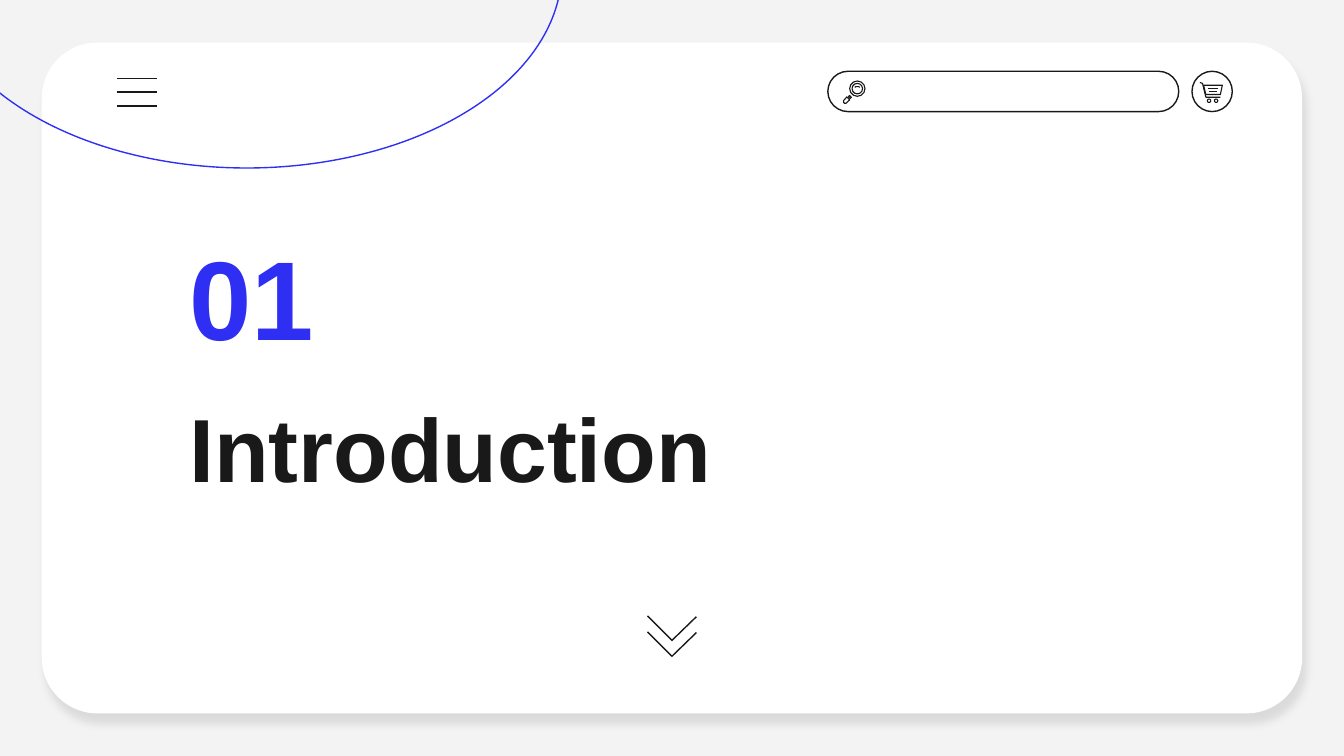
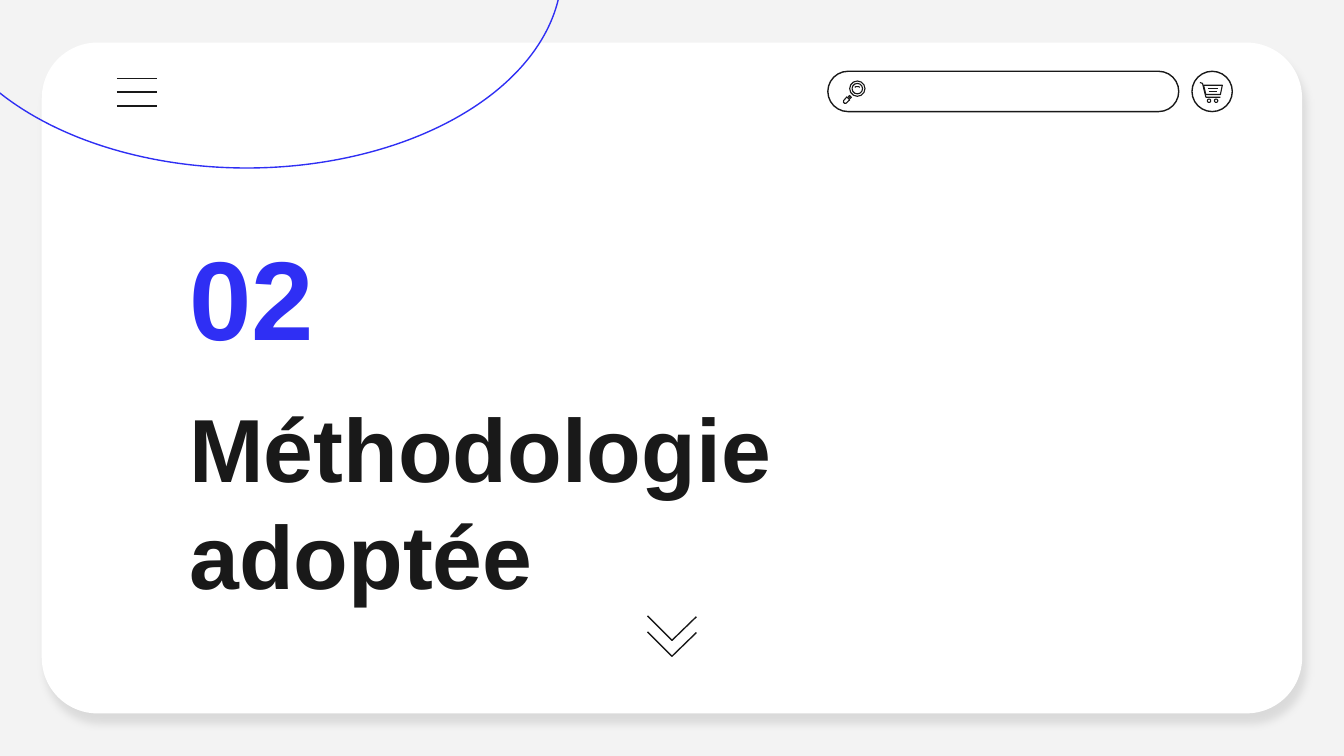
from lxml import etree
from pptx import Presentation
from pptx.dml.color import RGBColor
from pptx.enum.shapes import MSO_CONNECTOR, MSO_SHAPE
from pptx.enum.text import MSO_ANCHOR
from pptx.oxml.ns import qn
from pptx.util import Pt

OVAL, ROUND = MSO_SHAPE.OVAL, MSO_SHAPE.ROUNDED_RECTANGLE
LINE = MSO_CONNECTOR.STRAIGHT
TOP, BOTTOM = MSO_ANCHOR.TOP, MSO_ANCHOR.BOTTOM

INK = RGBColor(0x19, 0x19, 0x19)
BLUE = RGBColor(0x2F, 0x2F, 0xF4)
WHITE = RGBColor(0xFF, 0xFF, 0xFF)
GREY = RGBColor(0xF3, 0xF3, 0xF3)
FONT = "Arial"
THIN, FINE = 0.75, 0.6

# Content: section number and title
PARTS = [("01", "Introduction"), ("02", "Méthodologie adoptée")]

# Places in points: left, top, width, height
CARD = (22.4, 22.8, 675.2, 359.4)
SEARCH = (443.5, 38.2, 188, 21.6)
BUTTON = (638.6, 38.2, 21.6, 21.6)
ARC = (-36.7, -122.4, 337.7, 212.4)
NUM_BOX = (94.3, 135.4, 97.2, 66.2)
HEAD_BOX = (94.3, 203.8, 402.5, 66.2)

# Menu bars and chevrons
MENU_X, MENU_Y, MENU_W, MENU_GAP = 62.6, 41.9, 21.6, 7.4
CHEV_X, CHEV_Y, CHEV_R, CHEV_GAP = 360, 330, 13.1, 8.5

# Icons: rings as centre and diameter, outlines as points and closed flag
RINGS = [(459.3, 47.5, 8.2), (459.3, 47.5, 5.6),
         (647.7, 54, 1.8), (651.5, 54, 1.8)]
PATHS = [
    ([(457.9, 46.8), (458.6, 46.4), (459.9, 46.4), (460.6, 46.8)], False),
    ([(455.1, 51.2), (456.1, 52.2), (455.4, 52.8), (454.5, 51.9)], True),
    ([(453.7, 51.9), (452, 53.9), (451.9, 54.8), (452.5, 55.4),
      (453.4, 55.3), (455.2, 53.5)], True),
    ([(642.8, 44.2), (644.2, 44.7), (646, 52.1), (653.7, 52.1)], False),
    ([(644.8, 45.7), (654.8, 45.7), (653.8, 50.7), (646, 50.7)], True),
]
SHELVES = [(647.3, 652.5, 47.5), (647.5, 651.9, 49.2)]


def style(shape, line, width=THIN, fill=None):
    shape.shadow.inherit = False
    if fill is None:
        shape.fill.background()
    else:
        shape.fill.solid()
        shape.fill.fore_color.rgb = fill
    if line is None:
        shape.line.fill.background()
    else:
        shape.line.color.rgb = line
        shape.line.width = Pt(width)
    return shape


def add(slide, kind, box, line, width=THIN, fill=None):
    shape = slide.shapes.add_shape(kind, *map(Pt, box))
    return style(shape, line, width, fill)


def rule(slide, left, right, y, width=THIN):
    bar = slide.shapes.add_connector(LINE, Pt(left), Pt(y), Pt(right), Pt(y))
    bar.line.color.rgb = INK
    bar.line.width = Pt(width)
    etree.SubElement(bar._element.spPr, qn("a:effectLst"))


def trace(slide, points, close, width=THIN):
    spots = [(Pt(x), Pt(y)) for x, y in points]
    pen = slide.shapes.build_freeform(*spots[0], scale=1.0)
    pen.add_line_segments(spots[1:], close=close)
    style(pen.convert_to_shape(), INK, width)


def write(slide, box, text, size, color, anchor, pitch=None):
    frame = slide.shapes.add_textbox(*map(Pt, box)).text_frame
    frame.word_wrap = True
    frame.vertical_anchor = anchor
    frame.margin_left = frame.margin_right = Pt(7.2)
    frame.margin_top = frame.margin_bottom = Pt(7.2)
    frame.text = text
    para = frame.paragraphs[0]
    if pitch:
        para.line_spacing = Pt(pitch)
    font = para.runs[0].font
    font.name, font.size, font.bold = FONT, Pt(size), True
    font.color.rgb = color


def cast(shape):
    # Soft shadow below the card
    effects = shape._element.spPr.find(qn("a:effectLst"))
    outer = etree.SubElement(
        effects, qn("a:outerShdw"), blurRad=str(Pt(4.5)), dist=str(Pt(6)),
        dir=str(68 * 60000), algn="bl", rotWithShape="0")
    tint = etree.SubElement(outer, qn("a:srgbClr"), val="000000")
    etree.SubElement(tint, qn("a:alpha"), val="10000")


def frame_page(slide):
    # Backdrop and card
    slide.background.fill.solid()
    slide.background.fill.fore_color.rgb = GREY
    card = add(slide, ROUND, CARD, None, fill=WHITE)
    card.adjustments[0] = 0.083
    cast(card)
    # Menu, search field and cart button
    for i in range(3):
        rule(slide, MENU_X, MENU_X + MENU_W, MENU_Y + i * MENU_GAP)
    add(slide, ROUND, SEARCH, INK).adjustments[0] = 0.5
    add(slide, OVAL, BUTTON, INK)
    # Icons
    for x, y, size in RINGS:
        add(slide, OVAL, (x - size / 2, y - size / 2, size, size), INK, FINE)
    for points, close in PATHS:
        trace(slide, points, close, FINE)
    for left, right, y in SHELVES:
        rule(slide, left, right, y, FINE)


def main():
    prs = Presentation()
    prs.slide_width, prs.slide_height = Pt(720), Pt(405)
    for number, title in PARTS:
        slide = prs.slides.add_slide(prs.slide_layouts[6])
        frame_page(slide)
        write(slide, HEAD_BOX, title, 48, INK, TOP, 57.2)
        write(slide, NUM_BOX, number, 60, BLUE, BOTTOM)
        add(slide, OVAL, ARC, BLUE)
        # Chevrons
        for i in range(2):
            y = CHEV_Y + i * CHEV_GAP
            trace(slide, [(CHEV_X - CHEV_R, y), (CHEV_X, y + CHEV_R),
                          (CHEV_X + CHEV_R, y + 0.4)], False)
    prs.save("out.pptx")


if __name__ == "__main__":
    main()
